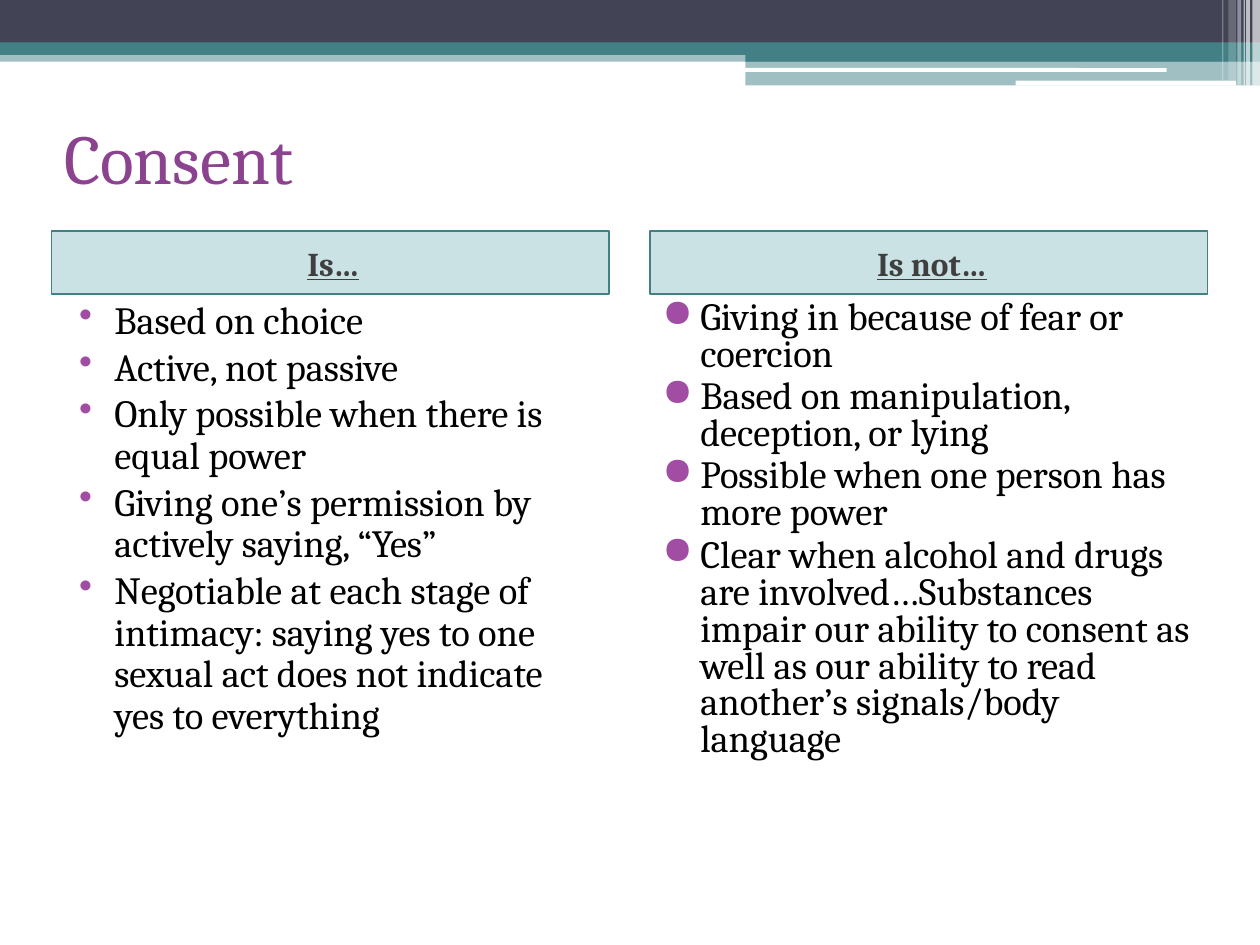
from lxml import etree
from pptx import Presentation
from pptx import util as u
from pptx.dml.color import RGBColor
from pptx.enum import shapes, text
from pptx.oxml import ns

Pt = u.Pt
FONT = "Cambria"
COLORS = {
    "navy": "424456",
    "teal": "438086",
    "header": "328E97",
    "white": "FFFFFF",
    "title": "8C438F",
    "heading": "3F3F3F",
    "bullet": "A04DA3",
    "body": "000000",
}


def add_box(left, top, width, height, color, opacity=100, kind=shapes.MSO_SHAPE.RECTANGLE):
    """Add a borderless filled shape; opacity is in percent."""
    shape = slide.shapes.add_shape(kind, Pt(left), Pt(top), Pt(width), Pt(height))
    shape.shadow.inherit = False
    shape.line.fill.background()
    shape.fill.solid()
    shape.fill.fore_color.rgb = RGBColor.from_string(COLORS[color])
    if opacity < 100:
        color_element = shape.fill._xPr.find(".//" + ns.qn("a:srgbClr"))
        etree.SubElement(color_element, ns.qn("a:alpha"), val=str(opacity * 1000))
    return shape


def style_text(paragraph, size, color):
    paragraph.font.name = FONT
    paragraph.font.size = Pt(size)
    paragraph.font.color.rgb = RGBColor.from_string(COLORS[color])


presentation = Presentation()
presentation.slide_width, presentation.slide_height = Pt(720), Pt(540)
slide = presentation.slides.add_slide(presentation.slide_layouts[6])

# Banner bands
for band in [
    (0, 28.8, 720, 6.48, "teal", 50),
    (0, 0, 720, 24.48, "navy"),
    (0, 24.2, 720, 7.2, "teal"),
    (426, 28.08, 294, 7.2, "teal"),
    (426, 34.9, 294, 14, "teal", 50),
]:
    add_box(*band)

# White rules under the banner
for left, top, width, height in [(425.5, 38.9, 241.2, 2.16), (580.3, 46.1, 126, 2.88)]:
    add_box(left, top, width, height, "white", kind=shapes.MSO_SHAPE.ROUNDED_RECTANGLE)

# Translucent stripes at the right edge
for left, width, height, opacity in [
    (715.68, 4.32, 49, 65),
    (712.08, 2.16, 49, 65),
    (710.64, 0.72, 49, 60),
    (707.04, 2.16, 49, 40),
    (702, 4.32, 46, 20),
    (698.4, 0.72, 46, 30),
]:
    add_box(left, 0, width, height, "white", opacity)

# Title
title = slide.shapes.add_textbox(Pt(29.5), Pt(47.5), Pt(660), Pt(84.2))
title.text_frame.word_wrap = True
title.text_frame.vertical_anchor = text.MSO_ANCHOR.MIDDLE
paragraph = title.text_frame.paragraphs[0]
paragraph.text = "Consent"
style_text(paragraph, 40, "title")

# Two columns: left edge, heading, bullet, left margin, hanging indent, line spacing, items
columns = [
    (29.5, "Is…", "•", 28.8, 20.16, 0.9, [
        "Based on choice",
        "Active, not passive",
        "Only possible when there is equal power",
        "Giving one’s permission by actively saying, “Yes”",
        "Negotiable at each stage of intimacy: saying yes to one sexual act "
        "does not indicate yes to everything",
    ]),
    (371.5, "Is not…", "●", 21.6, 21.6, 0.8, [
        "Giving in because of fear or coercion",
        "Based on manipulation, deception, or lying",
        "Possible when one person has more power",
        "Clear when alcohol and drugs are involved…Substances impair our ability "
        "to consent as well as our ability to read another’s signals/body language",
    ]),
]
column_width = 318.5
for left, heading, bullet, margin, hanging, line_spacing, items in columns:
    header = add_box(left, 132.2, column_width, 36, "header", 25)
    header.line.color.rgb = RGBColor.from_string(COLORS["teal"])
    header.line.width = Pt(1)
    header.text_frame.vertical_anchor = text.MSO_ANCHOR.MIDDLE
    paragraph = header.text_frame.paragraphs[0]
    paragraph.text = heading
    paragraph.alignment = text.PP_ALIGN.CENTER
    paragraph.space_before = Pt(3)
    paragraph._p.get_or_add_pPr().set("marL", str(Pt(3.6)))
    style_text(paragraph, 19, "heading")
    paragraph.font.bold = paragraph.font.underline = True

    body = slide.shapes.add_textbox(Pt(left), Pt(168.5), Pt(column_width), Pt(306))
    frame = body.text_frame
    frame.word_wrap = True
    for index, item in enumerate(items):
        paragraph = frame.add_paragraph() if index else frame.paragraphs[0]
        paragraph.text = item
        paragraph.line_spacing = line_spacing
        paragraph.space_before = Pt(3)
        properties = paragraph._p.get_or_add_pPr()
        properties.set("marL", str(Pt(margin)))
        properties.set("indent", str(-Pt(hanging)))
        bullet_color = etree.SubElement(properties, ns.qn("a:buClr"))
        etree.SubElement(bullet_color, ns.qn("a:srgbClr"), val=COLORS["bullet"])
        etree.SubElement(properties, ns.qn("a:buChar"), char=bullet)
        style_text(paragraph, 22, "body")

presentation.save("out.pptx")
